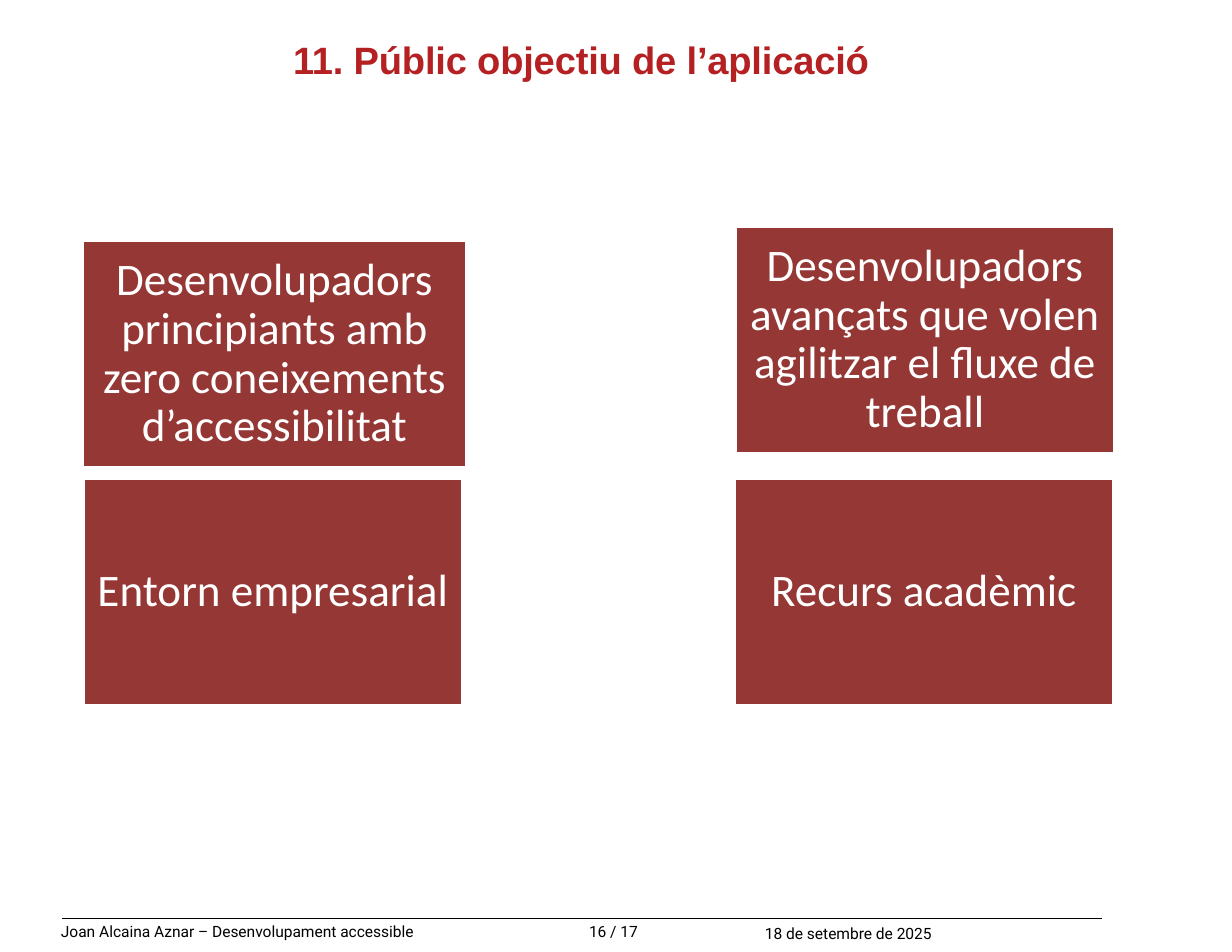
from dataclasses import dataclass

from lxml import etree
from pptx import Presentation
from pptx import util as u
from pptx.dml.color import RGBColor
from pptx.enum import shapes, text
from pptx.oxml import ns

PX_PER_INCH = 112


@dataclass(frozen=True)
class Theme:
    title_color: RGBColor = RGBColor(0xB5, 0x21, 0x23)
    card_fill: RGBColor = RGBColor(0x95, 0x37, 0x35)
    light: RGBColor = RGBColor(0xFF, 0xFF, 0xFF)
    dark: RGBColor = RGBColor(0, 0, 0)
    title_font: str = "Arial"
    card_font: str = "Calibri"
    footer_font: str = "Roboto"
    title_size: float = 24.5
    card_size: float = 29
    footer_size: float = 10


@dataclass(frozen=True)
class Box:
    label: str
    left: int
    top: int
    width: int
    height: int


THEME = Theme()
CARD_HEIGHT = 228
CARD_WIDTH = 380
CARD_INSET = 13

TITLE = Box("11. Públic objectiu de l’aplicació", 293, 34, 670, 48)
AUDIENCES = [
    Box("Desenvolupadors principiants amb zero coneixements d’accessibilitat",
        82, 240, CARD_WIDTH + 5, CARD_HEIGHT),
    Box("Desenvolupadors avançats que volen agilitzar el fluxe de treball",
        735, 226, CARD_WIDTH, CARD_HEIGHT),
    Box("Entorn empresarial", 83, 478, CARD_WIDTH, CARD_HEIGHT),
    Box("Recurs acadèmic", 734, 478, CARD_WIDTH, CARD_HEIGHT),
]
FOOTERS = [
    Box("Joan Alcaina Aznar – Desenvolupament accessible", 61, 921, 389, 19),
    Box("16 / 17", 589, 921, 52, 22),
    Box("18 de setembre de 2025", 765, 923, 197, 22),
]


def px(length: int) -> u.Emu:
    return u.Emu(round(length * u.Inches(1) / PX_PER_INCH))


def frame(box: Box) -> tuple:
    return px(box.left), px(box.top), px(box.width), px(box.height)


def write(shape, label: str, *, font: str, size: float, color: RGBColor,
          bold: bool = False, align=text.PP_ALIGN.LEFT,
          anchor=text.MSO_ANCHOR.TOP, insets: tuple = (0, 1, 0, 0),
          before: float = 0, line_spacing: float = 1, tracking: int = 0) -> None:
    body = shape.text_frame
    body.word_wrap = True
    body.vertical_anchor = anchor
    (body.margin_left, body.margin_top,
     body.margin_right, body.margin_bottom) = map(px, insets)
    paragraph = body.paragraphs[0]
    paragraph.alignment = align
    paragraph.space_before = u.Pt(before)
    paragraph.line_spacing = line_spacing
    run = paragraph.add_run()
    run.text = label
    run.font.name = font
    run.font.size = u.Pt(size)
    run.font.bold = bold
    run.font.color.rgb = color
    if tracking:
        run.font._element.set("spc", str(tracking))


def add_title(slide, title: Box) -> None:
    write(slide.shapes.add_textbox(*frame(title)), title.label,
          font=THEME.title_font, size=THEME.title_size,
          color=THEME.title_color, bold=True, insets=(0, 2, 0, 0),
          before=1.2, tracking=-10)


def add_card(slide, audience: Box) -> None:
    card = slide.shapes.add_shape(shapes.MSO_SHAPE.RECTANGLE, *frame(audience))
    card.shadow.inherit = False
    card.fill.solid()
    card.fill.fore_color.rgb = THEME.card_fill
    card.line.color.rgb = THEME.light
    card.line.width = u.Pt(2)
    write(card, audience.label, font=THEME.card_font, size=THEME.card_size,
          color=THEME.light, align=text.PP_ALIGN.CENTER,
          anchor=text.MSO_ANCHOR.MIDDLE, insets=(CARD_INSET,) * 4,
          line_spacing=0.9)


def add_footer(slide, footer: Box) -> None:
    write(slide.shapes.add_textbox(*frame(footer)), footer.label,
          font=THEME.footer_font, size=THEME.footer_size, color=THEME.dark,
          before=0.5)


def add_rule(slide, left: int, right: int, top: int) -> None:
    rule = slide.shapes.add_connector(
        shapes.MSO_CONNECTOR.STRAIGHT, px(left), px(top), px(right), px(top))
    rule.line.color.rgb = THEME.dark
    rule.line.width = u.Pt(0.4)
    etree.SubElement(rule._element.spPr, ns.qn("a:effectLst"))


def main() -> None:
    deck = Presentation()
    deck.slide_width, deck.slide_height = u.Inches(11), u.Inches(8.5)
    slide = deck.slides.add_slide(deck.slide_layouts[6])

    # Heading
    add_title(slide, TITLE)

    # Footer under a thin rule
    add_rule(slide, 62, 1102, 918)
    for footer in FOOTERS:
        add_footer(slide, footer)

    # Target audiences
    for audience in AUDIENCES:
        add_card(slide, audience)

    deck.save("out.pptx")


if __name__ == "__main__":
    main()
